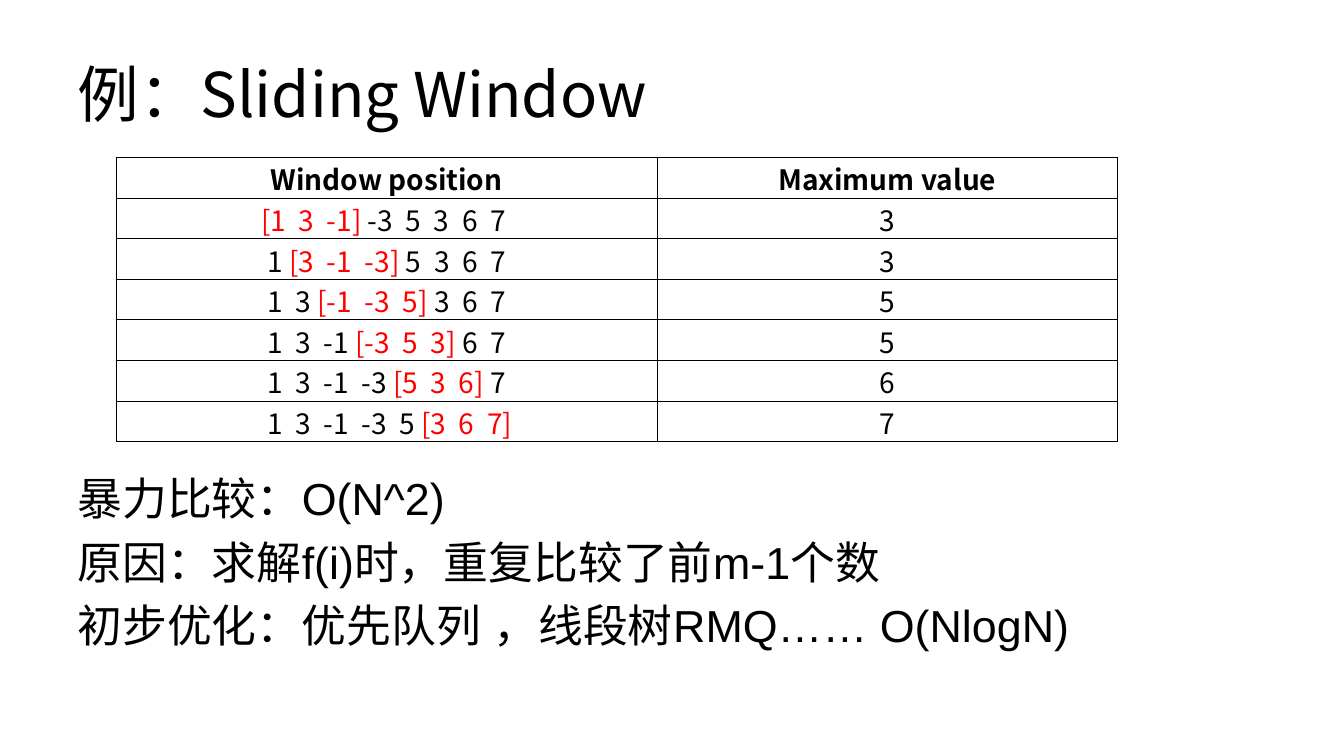
from dataclasses import dataclass

from lxml import etree
from pptx import Presentation
from pptx.dml.color import RGBColor
from pptx.enum.text import MSO_ANCHOR, PP_ALIGN
from pptx.oxml.ns import qn
from pptx.util import Inches, Pt

MIDDLE, TOP = MSO_ANCHOR.MIDDLE, MSO_ANCHOR.TOP
LEFT, CENTER, JUSTIFY = PP_ALIGN.LEFT, PP_ALIGN.CENTER, PP_ALIGN.JUSTIFY
HARD_SPACE = chr(160)
NUMBERS = [1, 3, -1, -3, 5, 3, 6, 7]
WINDOW_SIZE = 3
HEADINGS = ["Window position", "Maximum value"]
REMARKS = [
    "暴力比较：O(N^2)",
    "原因：求解f(i)时，重复比较了前m-1个数",
    "初步优化：优先队列 ，线段树RMQ…… O(NlogN)",
]


@dataclass(frozen=True)
class Theme:
    """Colours, fonts and type sizes of the slide."""
    ink: str = "000000"
    accent: str = "FF0000"
    heading_font: str = "Noto Sans CJK SC"
    body_font: str = "Arial"
    title_size: int = 44
    body_size: int = 32
    table_size: int = 20
    border_width: float = 0.5


THEME = Theme()


def add_span(para, text, size, font, color=THEME.ink, bold=False):
    """Append one styled run, using the font for Latin and Chinese alike."""
    span = para.add_run()
    span.text = text
    span.font.size = Pt(size)
    span.font.name = font
    span.font.bold = bold
    span.font.color.rgb = RGBColor.from_string(color)
    east_asian = etree.SubElement(span.font._element, qn("a:ea"))
    east_asian.set("typeface", font)


def add_text(page, bounds, lines, size, font, anchor, align=LEFT, gap=0):
    """Add a wrapped text box with one paragraph per line."""
    box = page.shapes.add_textbox(*(Inches(length) for length in bounds))
    frame = box.text_frame
    frame.word_wrap = True
    frame.vertical_anchor = anchor
    for index, line in enumerate(lines):
        para = frame.add_paragraph() if index else frame.paragraphs[0]
        para.alignment = align
        para.space_before = Pt(gap)
        add_span(para, line, size, font)


def add_borders(cell):
    """Draw a thin line on all four sides of a cell."""
    properties = cell._tc.get_or_add_tcPr()
    for side in ("a:lnL", "a:lnR", "a:lnT", "a:lnB"):
        line = etree.SubElement(properties, qn(side), w=str(Pt(THEME.border_width)))
        fill = etree.SubElement(line, qn("a:solidFill"))
        etree.SubElement(fill, qn("a:srgbClr"), val=THEME.ink)


def fill_cell(cell, parts, bold=False):
    """Style a cell and write its text and colour pairs."""
    add_borders(cell)
    cell.fill.background()
    cell.vertical_anchor = MIDDLE
    cell.margin_left = cell.margin_right = cell.margin_top = Inches(0.01)
    cell.margin_bottom = Inches(0)
    para = cell.text_frame.paragraphs[0]
    para.alignment = CENTER
    for text, color in parts:
        add_span(para, text, THEME.table_size, THEME.heading_font, color, bold)


def window_parts(start):
    """Split the numbers into text before, inside and after the window."""
    end = start + WINDOW_SIZE
    before, inside, after = (
        (HARD_SPACE * 2).join(str(number) for number in group)
        for group in (NUMBERS[:start], NUMBERS[start:end], NUMBERS[end:])
    )
    parts = [
        (before and HARD_SPACE + before + HARD_SPACE, THEME.ink),
        (f"[{inside}]", THEME.accent),
        (after and HARD_SPACE + after + HARD_SPACE, THEME.ink),
    ]
    return [part for part in parts if part[0]]


def add_window_table(page):
    """Add the table of window positions and their maxima."""
    starts = range(len(NUMBERS) - WINDOW_SIZE + 1)
    frame = page.shapes.add_table(
        len(starts) + 1, 2, Inches(1.15), Inches(1.56), Inches(9.93), Inches(2.82)
    )
    table = frame.table
    table.first_row = table.horz_banding = False
    for column, width in zip(table.columns, (5.37, 4.56)):
        column.width = Inches(width)
    for column, heading in enumerate(HEADINGS):
        fill_cell(table.cell(0, column), [(heading, THEME.ink)], bold=True)
    for start in starts:
        maximum = max(NUMBERS[start:start + WINDOW_SIZE])
        fill_cell(table.cell(start + 1, 0), window_parts(start))
        fill_cell(table.cell(start + 1, 1), [(str(maximum), THEME.ink)])


def main():
    """Build and save the sliding window slide."""
    deck = Presentation()
    deck.slide_width, deck.slide_height = Inches(13.33), Inches(7.5)
    page = deck.slides.add_slide(deck.slide_layouts[6])
    add_text(page, (0.67, 0.3, 12, 1.25), ["例：Sliding Window"],
             THEME.title_size, THEME.heading_font, MIDDLE)
    add_window_table(page)
    add_text(page, (0.67, 4.62, 12, 2.05), REMARKS,
             THEME.body_size, THEME.body_font, TOP, JUSTIFY, gap=7)
    deck.save("out.pptx")


if __name__ == "__main__":
    main()
